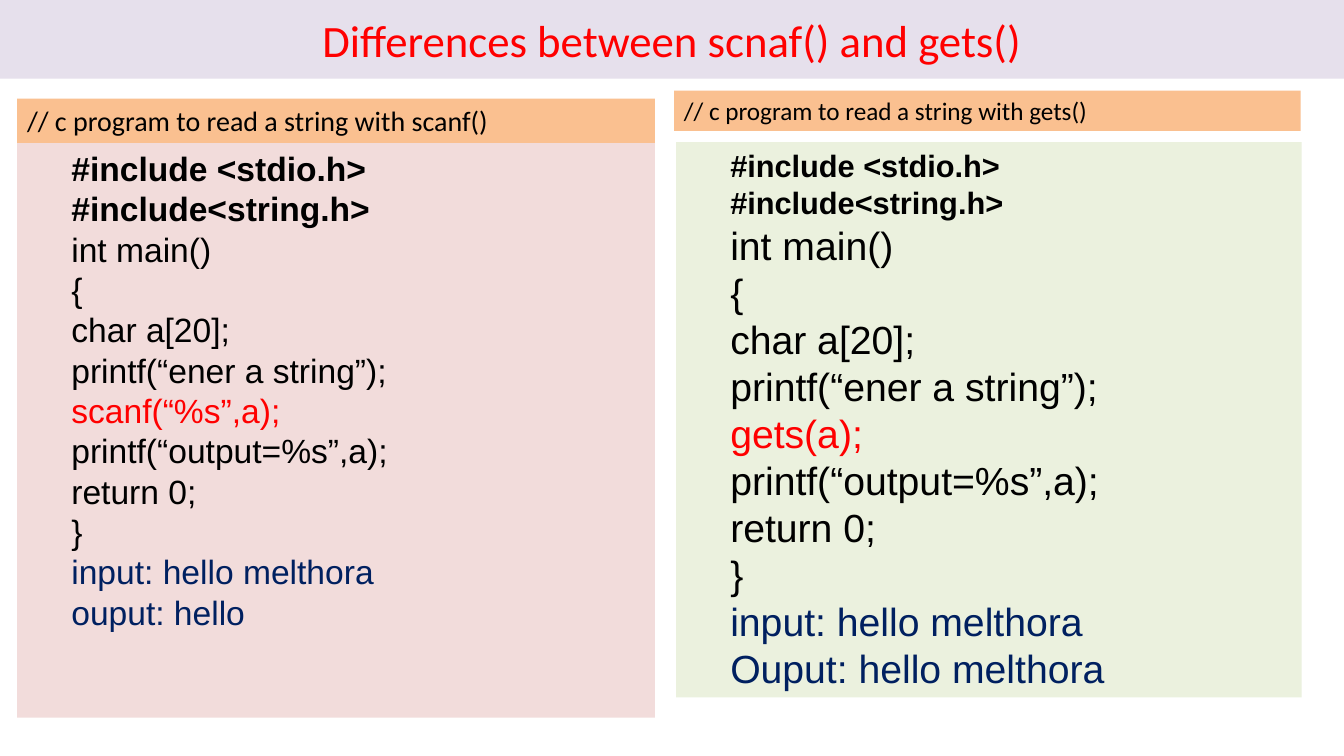
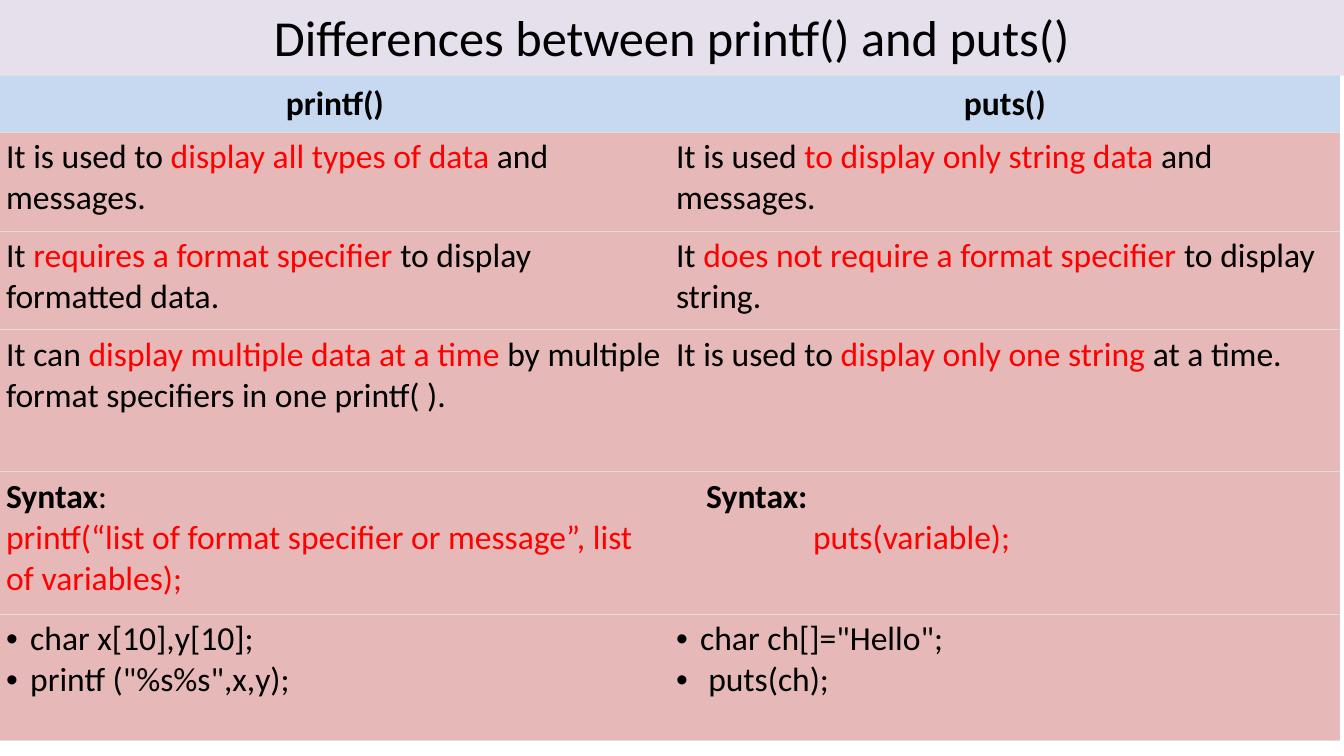
from lxml import etree
from pptx import Presentation
from pptx.dml.color import RGBColor as Rgb
from pptx.enum.shapes import MSO_SHAPE as Shape
from pptx.enum.text import MSO_ANCHOR as Anchor, PP_ALIGN as Align
from pptx.oxml.ns import qn
from pptx.util import Inches, Pt

HUES = {
    "black": "000000", "red": "FF0000", "navy": "002060", "band": "E6E0EC",
    "label": "FAC090", "rose": "F2DCDB", "green": "EBF1DE",
    "head": "C6D9F1", "body": "E6B9B8", "rule": "DDDDDD",
}
WIDTH = 13.34
PLAIN_GRID = "{2D5ABB26-0587-4C30-8999-92F81FD0307C}"
RED, NAVY, BOLD = {"hue": "red"}, {"hue": "navy"}, {"bold": True}


def paint(item, hue):
    """Give a shape, cell or font a solid fill."""
    item.fill.solid()
    item.fill.fore_color.rgb = Rgb.from_string(HUES[hue])


def write(para, runs, size, face="Calibri"):
    """Add (text, format) runs to a paragraph."""
    for text, extra in runs:
        run = para.add_run()
        run.text = text
        look = {"name": face, "size": Pt(size), "bold": False, "hue": "black"} | extra
        paint(run.font, look.pop("hue"))
        for key, value in look.items():
            setattr(run.font, key, value)


def indent(para, left, first=0, mark=None):
    """Indent a paragraph and give it a bullet if a mark is named."""
    props = para._p.get_or_add_pPr()
    props.set("marL", str(Inches(left)))
    props.set("indent", str(Inches(first)))
    if mark:
        etree.SubElement(props, qn("a:buFont")).set("typeface", "Arial")
        etree.SubElement(props, qn("a:buChar")).set("char", mark)


def lines(frame, count):
    """Return the given number of paragraphs of a text frame."""
    return [frame.paragraphs[0]] + [frame.add_paragraph() for _ in range(count - 1)]


def panel(slide, box, hue, anchor=Anchor.TOP):
    """Draw a filled rectangle and return its text frame."""
    rect = slide.shapes.add_shape(Shape.RECTANGLE, *map(Inches, box))
    rect.shadow.inherit = False
    rect.line.fill.background()
    paint(rect, hue)
    frame = rect.text_frame
    frame.word_wrap = True
    frame.vertical_anchor = anchor
    for para in frame.paragraphs:
        para.alignment = Align.LEFT
    return frame


def title(slide, top, text, size, hue):
    """Draw the title band across the slide."""
    para = panel(slide, (0, top, WIDTH, 0.78), "band", Anchor.MIDDLE).paragraphs[0]
    para.alignment = Align.CENTER
    write(para, [(text, {"hue": hue})], size)


def label(slide, box, text, size):
    """Draw the caption above a listing."""
    write(panel(slide, box, "label").paragraphs[0], [(text, {})], size)


def listing(slide, box, hue, call, output, sizes):
    """Draw a program with its input and output."""
    rows = [(text, BOLD) for text in ("#include <stdio.h>", "#include<string.h>")]
    rows += [(text, {}) for text in (
        "int main()", "{", "char a[20];", "printf(“ener a string”);")]
    rows += [(call, RED)]
    rows += [(text, {}) for text in ("printf(“output=%s”,a);", "return 0;", "}")]
    rows += [("input: hello melthora", NAVY), (output, NAVY)]
    for para, row in zip(lines(panel(slide, box, hue), len(rows)), rows):
        para.alignment = Align.LEFT
        indent(para, 0.44)
        write(para, [row], sizes[row[1] is not BOLD], "Arial")


def rule(cell):
    """Draw thin lines above and below a cell."""
    props = cell._tc.get_or_add_tcPr()
    for at, tag in enumerate(("a:lnT", "a:lnB")):
        line = etree.Element(qn(tag), w=str(Pt(0.34)))
        fill = etree.SubElement(line, qn("a:solidFill"))
        etree.SubElement(fill, qn("a:srgbClr")).set("val", HUES["rule"])
        props.insert(at, line)


def fill(cell, paras, head):
    """Format a cell and write its (runs, indent) paragraphs."""
    paint(cell, "head" if head else "body")
    rule(cell)
    cell.margin_left = cell.margin_right = Inches(0.06)
    cell.vertical_anchor = Anchor.MIDDLE if head else Anchor.TOP
    for para, (runs, inset) in zip(lines(cell.text_frame, len(paras)), paras):
        para.alignment = Align.CENTER if head else Align.LEFT
        indent(para, *inset)
        write(para, runs, 24)


def grid(slide, box, highs, rows):
    """Draw the comparison table with equal columns."""
    frame = slide.shapes.add_table(len(rows), len(rows[0]), *map(Inches, box))
    table = frame.table
    table._tbl.tblPr.find(qn("a:tableStyleId")).text = PLAIN_GRID
    for col in table.columns:
        col.width = Inches(box[2] / len(rows[0]))
    for r, (high, row) in enumerate(zip(highs, rows)):
        table.rows[r].height = Inches(high)
        for c, paras in enumerate(row):
            fill(table.cell(r, c), paras, r == 0)


def point(start, key, end):
    """Return one paragraph whose middle words are red."""
    return [([(start, {}), (key, RED), (end, {})], (0,))]


def bullet(text, left=0.24):
    """Return one bulleted paragraph."""
    return [(text, {})], (left, -left, "•")


def reading(deck):
    """Build the slide on reading strings."""
    slide = deck.slides.add_slide(deck.slide_layouts[6])
    title(slide, 0, "Differences between scnaf() and gets()", 32, "red")
    note = "// c program to read a string with "
    label(slide, (0.17, 0.98, 6.33, 0.44), note + "scanf()", 20)
    label(slide, (6.69, 0.9, 6.22, 0.4), note + "gets()", 18)
    listing(slide, (0.17, 1.42, 6.33, 5.7), "rose",
            "scanf(“%s”,a);", "ouput: hello", (24, 24))
    listing(slide, (6.71, 1.41, 6.21, 5.51), "green",
            "gets(a);", "Ouput: hello melthora", (22, 28))


def printing(deck):
    """Build the slide on printing strings."""
    slide = deck.slides.add_slide(deck.slide_layouts[6])
    title(slide, -0.03, "Differences between printf() and puts()", 36, "black")
    usage = "printf(“list of format specifier or message”, list of variables);"
    rows = [
        [[([(name, BOLD)], (0,))] for name in ("printf()", "puts()")],
        [point("It is used to ", "display all types of data ", "and messages."),
         point("It is used ", "to display only string data ", "and messages.")],
        [point("It ", "requires a format specifier ", "to display formatted data."),
         point("It ", "does not require a format specifier ", "to display string.")],
        [point("It can ", "display multiple data at a time ",
               "by multiple format specifiers in one printf( )."),
         point("It is used to ", "display only one string ", "at a time.")],
        [[([("Syntax", BOLD), (":", {})], (0,)), ([(usage, RED)], (0,))],
         [([("Syntax:", BOLD)], (0.3,)), ([("puts(variable);", RED)], (1.36,))]],
        [[bullet("char x[10],y[10];"), bullet('printf ("%s%s",x,y);')],
         [bullet('char ch[]="Hello";'), bullet("puts(ch);", 0.32)]],
    ]
    highs = (0.56, 0.98, 0.98, 1.41, 1.41, 1.25)
    grid(slide, (0, 0.75, 13.3, sum(highs)), highs, rows)


def main():
    """Build and save the deck."""
    deck = Presentation()
    deck.slide_width, deck.slide_height = Inches(WIDTH), Inches(7.5)
    reading(deck)
    printing(deck)
    deck.save("out.pptx")


main()
